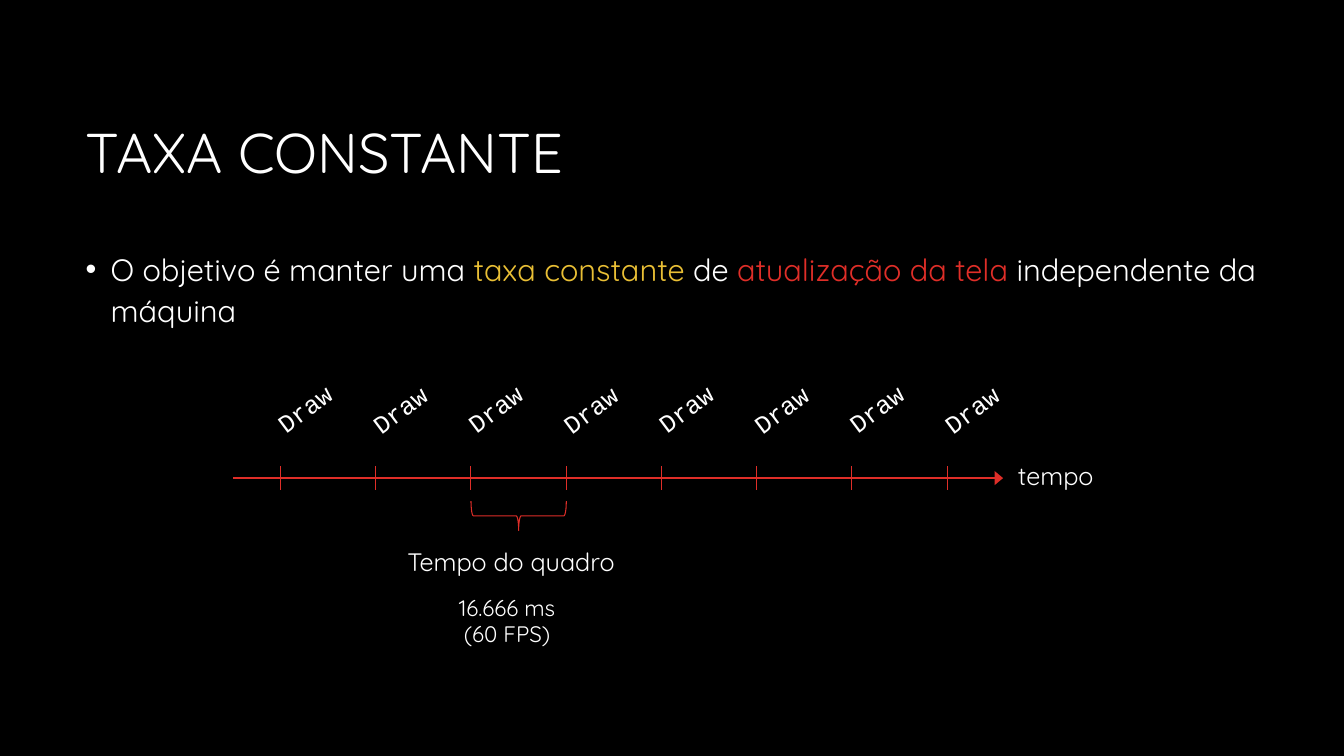
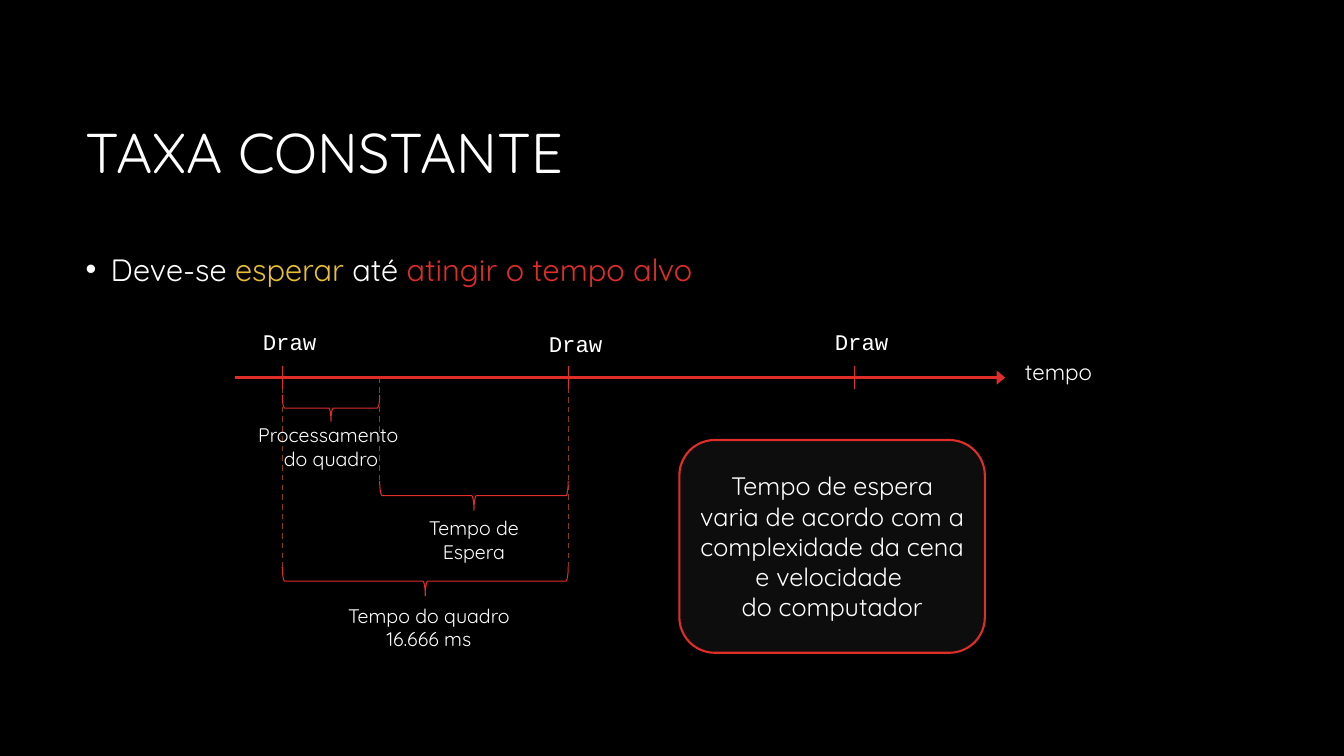
from dataclasses import dataclass

from lxml import etree
from pptx import Presentation
from pptx.dml.color import RGBColor
from pptx.enum.dml import MSO_LINE
from pptx.enum.shapes import MSO_CONNECTOR, MSO_SHAPE
from pptx.enum.text import MSO_ANCHOR, MSO_AUTO_SIZE, PP_ALIGN
from pptx.oxml.ns import qn
from pptx.util import Pt

STRAIGHT = MSO_CONNECTOR.STRAIGHT
BRACE, ROUNDED = MSO_SHAPE.RIGHT_BRACE, MSO_SHAPE.ROUNDED_RECTANGLE
DASH = MSO_LINE.DASH
LEFT, CENTER = PP_ALIGN.LEFT, PP_ALIGN.CENTER
TOP, MIDDLE = MSO_ANCHOR.TOP, MSO_ANCHOR.MIDDLE
GROW = MSO_AUTO_SIZE.SHAPE_TO_FIT_TEXT


@dataclass(frozen=True)
class Theme:
    background: RGBColor = RGBColor(0x00, 0x00, 0x00)
    text: RGBColor = RGBColor(0xFF, 0xFF, 0xFF)
    yellow: RGBColor = RGBColor(0xE9, 0xBF, 0x35)
    red: RGBColor = RGBColor(0xDF, 0x2E, 0x28)
    guide: RGBColor = RGBColor(0x8B, 0x3F, 0x01)
    panel: RGBColor = RGBColor(0x0D, 0x0D, 0x0D)
    font: str = "Quicksand"
    code_font: str = "Courier New"
    title_size: float = 40
    body_size: float = 22
    large: float = 18
    medium: float = 16
    small: float = 14
    thin: float = 0.75
    guide_width: float = 1
    border: float = 1.5


THEME = Theme()

TITLE = "TAXA CONSTANTE"
TITLE_BOX = (54, 60.5, 852, 101.5)
BODY_BOX = (54, 173, 852, 317)
TICK_REACH = 8.5

# Labels: lines, centre x, top, width, size.  Braces: left, right, top, depth.
# Draw calls: offset from the tick, box size, drop of every second one, turn.
FIXED_RATE = {
    "bullet": [("O objetivo é manter uma ", THEME.text),
               ("taxa constante ", THEME.yellow),
               ("de", THEME.text),
               (" atualização da tela", THEME.red),
               (" independente da máquina", THEME.text)],
    "axis": {"start": 166.5, "end": 716.5, "y": 341.5, "width": 1.5,
             "first": 200.2, "step": 68.06, "count": 8},
    "draw": {"dx": -2.9, "dy": -67.2, "width": 36, "height": 46.8,
             "drop": 0.7, "turn": 53.2, "size": THEME.large},
    "time": (720, 325.5, THEME.large),
    "braces": [(336.4, 404.5, 358, 21)],
    "guides": [],
    "labels": [(["Tempo do quadro"], 365, 386.6, 165, THEME.large),
               (["16.666 ms", "(60 FPS)"], 362.2, 420.5, 90, THEME.medium)],
}

FRAME_START, WORK_END, FRAME_END = 201.6, 271.2, 405.9
WAIT_TOP, FRAME_TOP = 343.5, 404.6
WAITING = {
    "bullet": [("Deve-se ", THEME.text),
               ("esperar", THEME.yellow),
               (" até ", THEME.text),
               ("atingir o tempo alvo", THEME.red)],
    "axis": {"start": 168, "end": 718, "y": 269.7, "width": 2,
             "first": FRAME_START, "step": FRAME_END - FRAME_START, "count": 3},
    "draw": {"dx": -16.7, "dy": -42.9, "width": 33.8, "height": 42.5,
             "drop": 1.4, "turn": 90, "size": THEME.medium},
    "time": (725, 252.2, THEME.medium),
    "braces": [(FRAME_START, WORK_END, 282, 19),
               (WORK_END, FRAME_END, WAIT_TOP, 21),
               (FRAME_START, FRAME_END, FRAME_TOP, 21)],
    "guides": [(FRAME_START, FRAME_TOP), (FRAME_END, FRAME_TOP),
               (WORK_END, WAIT_TOP)],
    "labels": [(["Processamento ", "do quadro"], 236.5, 298.8, 124.6, THEME.small),
               (["Tempo de", "Espera"], 338.5, 365, 85, THEME.small),
               (["Tempo do quadro", "16.666 ms"], 306.5, 427.7, 139.7, THEME.small)],
}
NOTE_BOX = (485.3, 314.3, 218.2, 152)
NOTE = ["Tempo de espera varia de acordo com a complexidade da cena e velocidade ",
        "do computador"]


def add_run(paragraph, text, size, color=THEME.text, font=THEME.font):
    run = paragraph.add_run()
    run.text = text
    run.font.size = Pt(size)
    run.font.name = font
    run.font.color.rgb = color


def write_lines(frame, lines, size, align=CENTER, font=THEME.font):
    for index, line in enumerate(lines):
        paragraph = frame.add_paragraph() if index else frame.paragraphs[0]
        paragraph.alignment = align
        add_run(paragraph, line, size, font=font)


def add_box(slide, box, anchor=TOP):
    textbox = slide.shapes.add_textbox(*map(Pt, box))
    textbox.text_frame.word_wrap = True
    textbox.text_frame.vertical_anchor = anchor
    return textbox


def add_tag(slide, box):
    """Add a text box that fits its unwrapped lines."""
    tag = add_box(slide, box)
    tag.text_frame.word_wrap = False
    tag.text_frame.auto_size = GROW
    return tag


def add_line(slide, start, end, color, width, dash=None, arrow=False):
    line = slide.shapes.add_connector(STRAIGHT, *map(Pt, (*start, *end)))
    line.line.color.rgb = color
    line.line.width = Pt(width)
    if dash:
        line.line.dash_style = dash
    properties = line.element.spPr
    if arrow:
        etree.SubElement(properties.find(qn("a:ln")), qn("a:tailEnd"),
                         type="triangle", w="lg", len="med")
    etree.SubElement(properties, qn("a:effectLst"))


def add_outlined(slide, preset, box, width):
    shape = slide.shapes.add_shape(preset, *map(Pt, box))
    shape.shadow.inherit = False
    shape.line.color.rgb = THEME.red
    shape.line.width = Pt(width)
    return shape


def add_brace(slide, left, right, top, depth):
    """Add a brace that opens upwards; its box is given before the quarter turn."""
    span = right - left
    box = ((left + right - depth) / 2, top + (depth - span) / 2, depth, span)
    brace = add_outlined(slide, BRACE, box, THEME.thin)
    brace.fill.background()
    brace.rotation = 90


def add_heading(slide, bullet):
    title = add_box(slide, TITLE_BOX, MIDDLE).text_frame
    write_lines(title, [TITLE], THEME.title_size, LEFT)
    title.paragraphs[0].line_spacing = 0.9

    paragraph = add_box(slide, BODY_BOX).text_frame.paragraphs[0]
    paragraph.line_spacing = 1.1
    paragraph.space_before = Pt(10)
    for text, color in bullet:
        add_run(paragraph, text, THEME.body_size, color)
    properties = paragraph._p.get_or_add_pPr()
    properties.set("marL", str(Pt(18)))
    properties.set("indent", str(-Pt(18)))
    etree.SubElement(properties, qn("a:buFont"), typeface="Arial")
    etree.SubElement(properties, qn("a:buChar"), char="•")


def add_draw_call(slide, left, top, draw):
    """Add a call whose text runs upwards in its box, which is then turned."""
    call = add_tag(slide, (left, top, draw["width"], draw["height"]))
    call.rotation = draw["turn"]
    call.text_frame._txBody.bodyPr.set("vert", "vert270")
    write_lines(call.text_frame, ["Draw"], draw["size"], LEFT, THEME.code_font)


def add_timeline(slide, axis, draw, time):
    y = axis["y"]
    add_line(slide, (axis["start"], y), (axis["end"], y), THEME.red,
             axis["width"], arrow=True)
    for index in range(axis["count"]):
        x = axis["first"] + index * axis["step"]
        add_line(slide, (x, y - TICK_REACH), (x, y + TICK_REACH),
                 THEME.red, THEME.thin)
        top = y + draw["dy"] + index % 2 * draw["drop"]
        add_draw_call(slide, x + draw["dx"], top, draw)
    left, top, size = time
    write_lines(add_tag(slide, (left, top, 70, 29)).text_frame, ["tempo"], size, LEFT)


def add_diagram_slide(deck, content):
    slide = deck.slides.add_slide(deck.slide_layouts[6])
    add_heading(slide, content["bullet"])
    for x, bottom in content["guides"]:
        add_line(slide, (x, content["axis"]["y"]), (x, bottom), THEME.guide,
                 THEME.guide_width, dash=DASH)
    add_timeline(slide, content["axis"], content["draw"], content["time"])
    for brace in content["braces"]:
        add_brace(slide, *brace)
    for lines, center, top, width, size in content["labels"]:
        box = (center - width / 2, top, width, len(lines) * size * 1.25 + 7.2)
        write_lines(add_tag(slide, box).text_frame, lines, size)
    return slide


def add_note(slide):
    note = add_outlined(slide, ROUNDED, NOTE_BOX, THEME.border)
    note.fill.solid()
    note.fill.fore_color.rgb = THEME.panel
    frame = note.text_frame
    frame.word_wrap = True
    frame.vertical_anchor = MIDDLE
    frame.margin_top = frame.margin_bottom = Pt(14.4)
    write_lines(frame, NOTE, THEME.large)


def main():
    deck = Presentation()
    deck.slide_width, deck.slide_height = Pt(960), Pt(540)
    backdrop = deck.slide_master.background.fill
    backdrop.solid()
    backdrop.fore_color.rgb = THEME.background
    add_diagram_slide(deck, FIXED_RATE)
    add_note(add_diagram_slide(deck, WAITING))
    deck.save("out.pptx")


if __name__ == "__main__":
    main()
